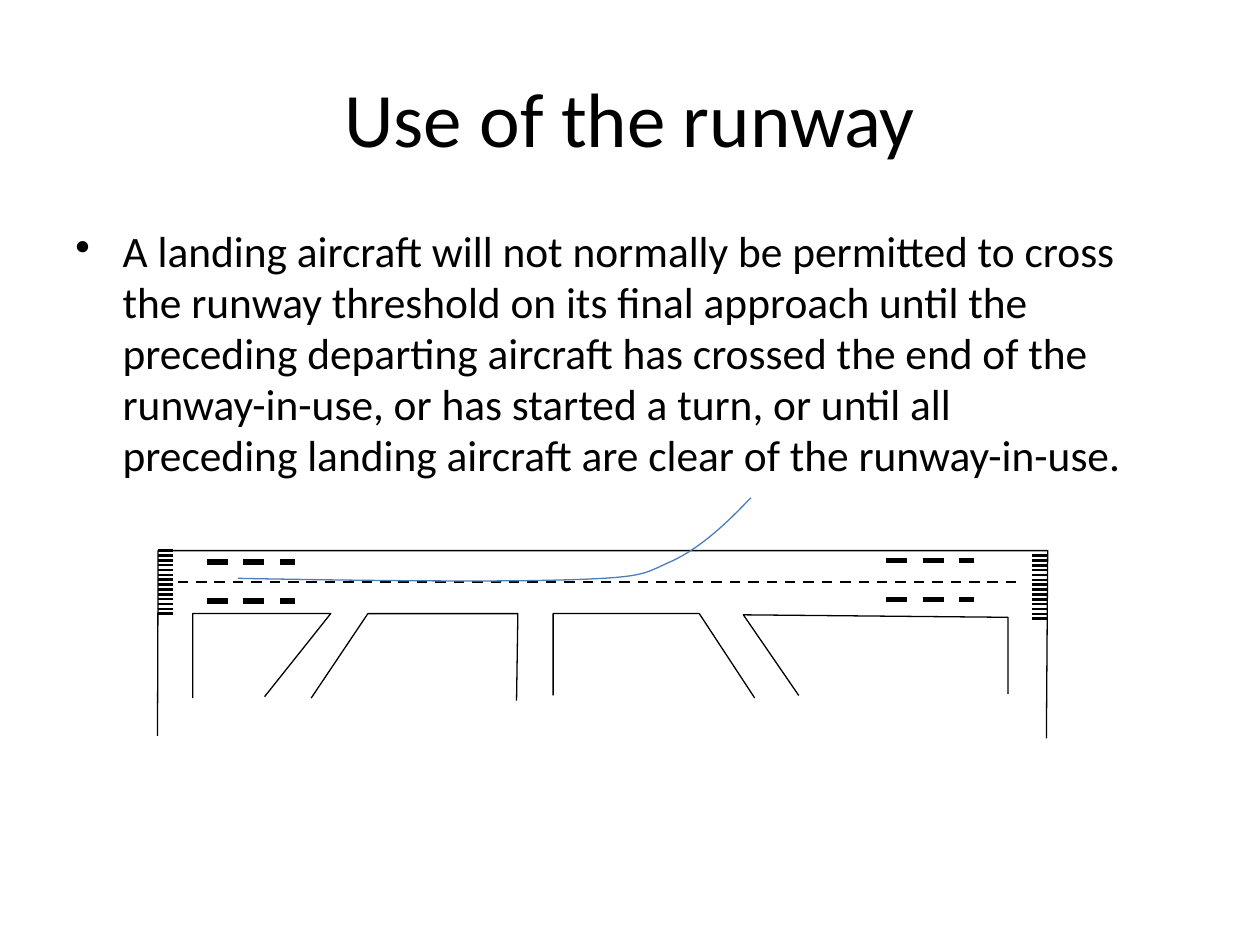
import pptx
import pptx.util
import pptx.dml.color
import pptx.enum.dml
import pptx.enum.shapes
import pptx.enum.text
import lxml.etree
from dataclasses import dataclass


@dataclass(frozen=True)
class Theme:
    font: str = "Calibri"
    ink: str = "000000"
    route: str = "4B7EBC"
    title: float = 44
    body: float = 24.8
    thin: float = 0.75
    mark: float = 1.5
    bold: float = 3


THEME = Theme()
COLS, ROWS = 100, 75
CELL = pptx.util.Inches(0.1)
DASH = pptx.enum.dml.MSO_LINE.DASH

TITLE = "Use of the runway"
RULE = (
    "A landing aircraft will not normally be permitted to cross the runway "
    "threshold on its final approach until the preceding departing aircraft "
    "has crossed the end of the runway-in-use, or has started a turn, or until "
    "all preceding landing aircraft are clear of the runway-in-use."
)
EDGES = [
    [(12.5, 58.4), (12.55, 43.7), (83.15, 43.7), (83.05, 58.6)],
    [(15.3, 55.4), (15.3, 48.7), (26.25, 48.7), (21, 55.3)],
    [(24.7, 55.4), (29.2, 48.7), (41.1, 48.7), (41, 55.6)],
    [(43.9, 55.2), (43.9, 48.7), (55.5, 48.7), (59.9, 55.4)],
    [(63.4, 55.2), (59, 48.8), (80, 49), (80, 55.1)],
]
ROUTE = [
    [(18.9, 45.9), (29.4, 46.1), (39.9, 46.2), (45.6, 46)],
    [(45.6, 46), (51.4, 45.8), (51.1, 45.5), (53.4, 44.5)],
    [(53.4, 44.5), (55.7, 43.4), (57.7, 41.5), (59.6, 39.5)],
]


def span(cells):
    return round(cells * CELL)


def rgb(code):
    return pptx.dml.color.RGBColor.from_string(code)


def text(slide, box, words, size):
    frame = slide.shapes.add_textbox(*map(span, box)).text_frame
    frame.word_wrap = True
    frame.text = words
    for run in frame.paragraphs[0].runs:
        run.font.name = THEME.font
        run.font.size = pptx.util.Pt(size)
        run.font.color.rgb = rgb(THEME.ink)
    return frame


def bullet(para, indent):
    props = para._p.get_or_add_pPr()
    props.set("marL", str(span(indent)))
    props.set("indent", str(-span(indent)))
    mark = lxml.etree.SubElement(props, pptx.oxml.ns.qn("a:buChar"))
    mark.set("char", "•")
    para.line_spacing = 0.98


def path(slide, points, color):
    (left, top), *rest = [(span(x), span(y)) for x, y in points]
    pen = slide.shapes.build_freeform(left, top)
    pen.add_line_segments(rest, close=False)
    shape = pen.convert_to_shape()
    shape.shadow.inherit = False
    shape.fill.background()
    shape.line.color.rgb = rgb(color)
    shape.line.width = pptx.util.Pt(THEME.thin)


def line(slide, left, right, row, width, dash=None):
    kind = pptx.enum.shapes.MSO_CONNECTOR.STRAIGHT
    link = slide.shapes.add_connector(
        kind, span(left), span(row), span(right), span(row))
    link.line.color.rgb = rgb(THEME.ink)
    link.line.width = pptx.util.Pt(width)
    if dash:
        link.line.dash_style = dash
    lxml.etree.SubElement(link._element.spPr, pptx.oxml.ns.qn("a:effectLst"))


def curve(parts, steps=16):
    points = [parts[0][0]]
    for part in parts:
        for step in range(1, steps + 1):
            t = step / steps
            share = ((1 - t) ** 3, 3 * t * (1 - t) ** 2,
                     3 * t * t * (1 - t), t ** 3)
            points.append(tuple(
                sum(s * p[axis] for s, p in zip(share, part))
                for axis in (0, 1)))
    return points


def stripes(slide, left, top, count=14, pitch=0.385, width=1.2):
    for row in range(count):
        line(slide, left, left + width, top + row * pitch, THEME.mark)


def zone(slide, left, top, width=7, gap=3.1):
    for row in (top, top + gap):
        line(slide, left, left + width, row, THEME.bold, DASH)


def main():
    deck = pptx.Presentation()
    deck.slide_width, deck.slide_height = span(COLS), span(ROWS)
    slide = deck.slides.add_slide(deck.slide_layouts[6])

    head = text(slide, (5, 3, 90, 12.5), TITLE, THEME.title)
    head.vertical_anchor = pptx.enum.text.MSO_ANCHOR.MIDDLE
    head.paragraphs[0].alignment = pptx.enum.text.PP_ALIGN.CENTER
    body = text(slide, (5, 17.5, 85.6, 20), RULE, THEME.body)
    bullet(body.paragraphs[0], 3.75)

    for edge in EDGES:
        path(slide, edge, THEME.ink)
    line(slide, 14.1, 80.9, 46.2, THEME.mark, DASH)
    path(slide, curve(ROUTE), THEME.route)
    for left, top in ((81.9, 44.1), (12.5, 43.7)):
        stripes(slide, left, top)
    for left, top in ((16.4, 44.6), (70.3, 44.5)):
        zone(slide, left, top)

    deck.save("out.pptx")


if __name__ == "__main__":
    main()
